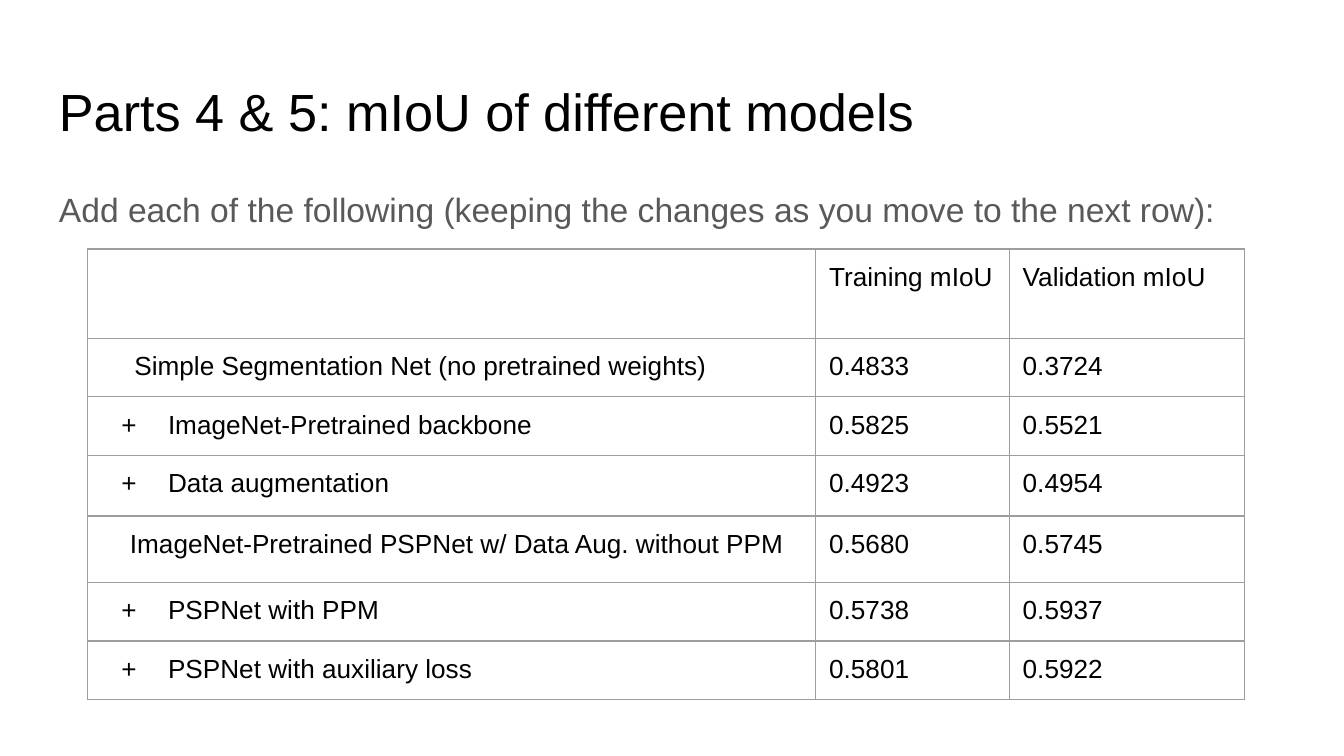
from lxml import etree
from pptx import Presentation
from pptx.dml.color import RGBColor
from pptx.enum.text import MSO_ANCHOR
from pptx.oxml.ns import qn
from pptx.util import Pt

TOP = MSO_ANCHOR.TOP
FONT = "Arial"
BLACK, GREY, BORDER = "000000", "595959", "9E9E9E"
INSET = Pt(7.2)
MARGINS = {f"margin_{side}": INSET for side in ("left", "right", "top", "bottom")}
PLUS = {"left": 36, "first": -25, "bullet": "+"}
COLUMNS = [390.2, 103.7, 126]
ROWS = [
    (48, {}, ("", "Training mIoU", "Validation mIoU")),
    (31.1, {"left": 18}, ("Simple Segmentation Net (no pretrained weights)", "0.4833", "0.3724")),
    (31.1, PLUS, ("ImageNet-Pretrained backbone", "0.5825", "0.5521")),
    (32.6, PLUS, ("Data augmentation", "0.4923", "0.4954")),
    (35.7, {"left": 15.6}, ("ImageNet-Pretrained PSPNet w/ Data Aug. without PPM", "0.5680", "0.5745")),
    (31.1, PLUS, ("PSPNet with PPM", "0.5738", "0.5937")),
    (31.1, PLUS, ("PSPNet with auxiliary loss", "0.5801", "0.5922")),
]


def rgb(value):
    """Turn a hex string into a colour."""
    return RGBColor.from_string(value)


def set_attrs(obj, values):
    """Set each named attribute on an object."""
    for name, value in values.items():
        setattr(obj, name, value)


def write(p, text, size, color):
    """Put styled text into a paragraph."""
    r = p.add_run() if text else p
    if text:
        r.text = text
    set_attrs(r.font, {"name": FONT, "size": Pt(size)})
    r.font.color.rgb = rgb(color)


def add_text(s, box, text, size, color, spacing=1.0):
    """Add a wrapped, top-anchored text box."""
    tf = s.shapes.add_textbox(*map(Pt, box)).text_frame
    set_attrs(tf, {"word_wrap": True, "vertical_anchor": TOP, **MARGINS})
    p = tf.paragraphs[0]
    p.line_spacing = spacing
    write(p, text, size, color)


def indent(p, left=0, first=0, bullet=None):
    """Set a paragraph's indents and optional bullet character."""
    pPr = p._p.get_or_add_pPr()
    pPr.set("marL", str(Pt(left)))
    pPr.set("indent", str(Pt(first)))
    if bullet:
        clr = etree.SubElement(pPr, qn("a:buClr"))
        etree.SubElement(clr, qn("a:srgbClr"), val=BLACK)
        etree.SubElement(pPr, qn("a:buFont"), typeface=FONT)
        etree.SubElement(pPr, qn("a:buChar"), char=bullet)


def add_borders(cell):
    """Draw a thin line on all four sides of a cell."""
    tcPr = cell._tc.get_or_add_tcPr()
    for i, side in enumerate("LRTB"):
        ln = etree.Element(qn(f"a:ln{side}"), w=str(Pt(0.75)))
        fill = etree.SubElement(ln, qn("a:solidFill"))
        etree.SubElement(fill, qn("a:srgbClr"), val=BORDER)
        tcPr.insert(i, ln)


def fill_cell(cell, text, layout):
    """Style one table cell and write its text."""
    set_attrs(cell, {"vertical_anchor": TOP, **MARGINS})
    cell.fill.background()
    add_borders(cell)
    p = cell.text_frame.paragraphs[0]
    indent(p, **layout)
    write(p, text, 14, BLACK)


def add_results(s, left, top):
    """Add the table of scores per model."""
    width, height = sum(COLUMNS), sum(row[0] for row in ROWS)
    frame = s.shapes.add_table(len(ROWS), len(COLUMNS), *map(Pt, (left, top, width, height)))
    table = frame.table
    set_attrs(table, {"first_row": False, "horz_banding": False})
    for column, size in zip(table.columns, COLUMNS):
        column.width = Pt(size)
    for row, (size, layout, texts) in zip(table.rows, ROWS):
        row.height = Pt(size)
        for i, (cell, text) in enumerate(zip(row.cells, texts)):
            fill_cell(cell, text, {} if i else layout)


def main():
    """Build and save the slide."""
    prs = Presentation()
    set_attrs(prs, {"slide_width": Pt(720), "slide_height": Pt(405)})
    s = prs.slides.add_slide(prs.slide_layouts[6])
    add_text(s, (24.5, 35.3, 671, 45.4), "Parts 4 & 5: mIoU of different models", 28, BLACK)
    intro = "Add each of the following (keeping the changes as you move to the next row):"
    add_text(s, (24.5, 90.7, 671, 269.3), intro, 18, GREY, 1.15)
    add_results(s, 46.8, 133.4)
    prs.save("out.pptx")


if __name__ == "__main__":
    main()
